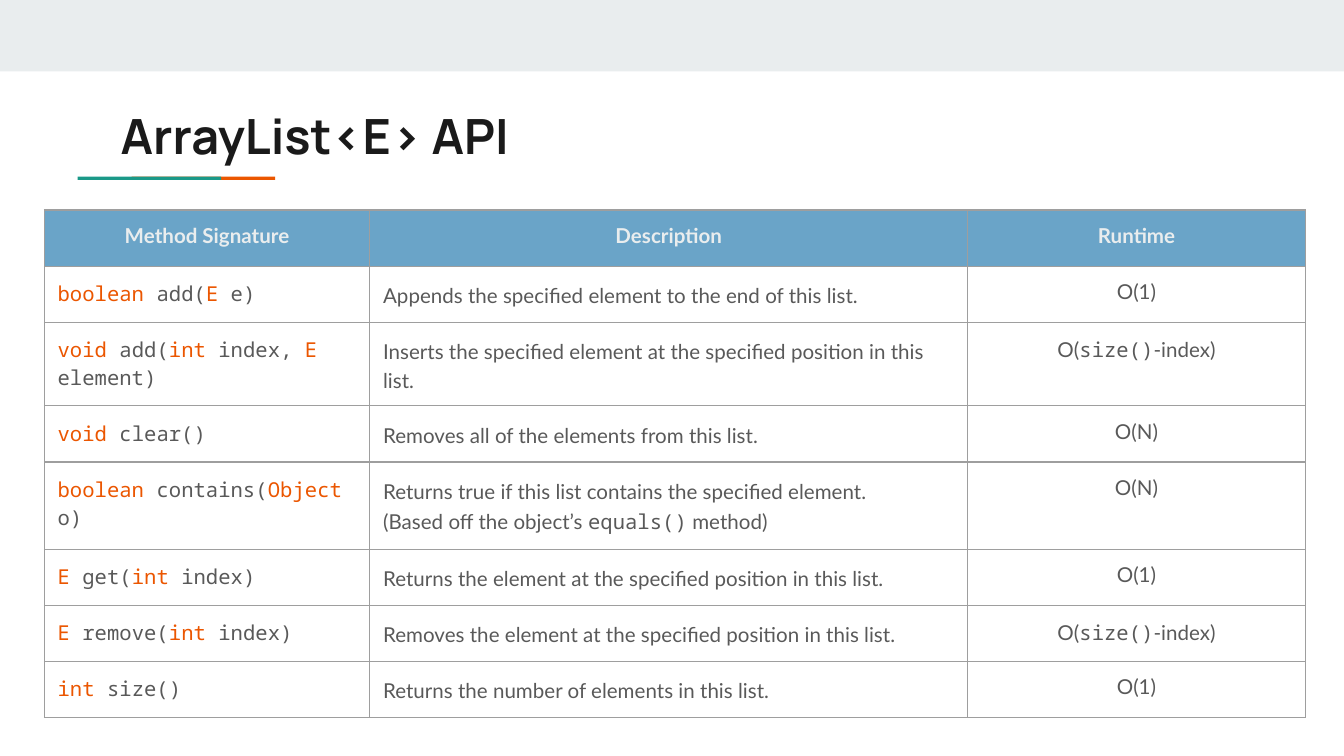
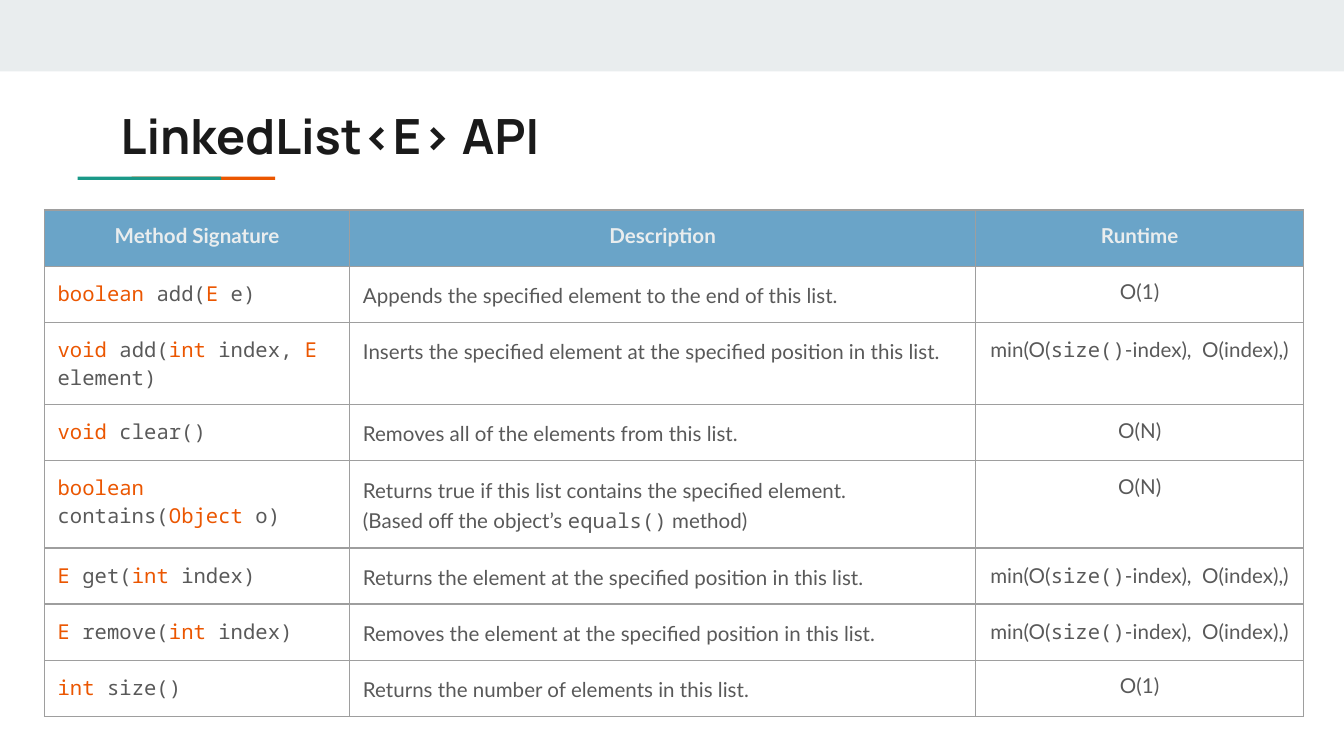
from lxml.etree import SubElement
from pptx import Presentation
from pptx.dml.color import RGBColor
from pptx.enum.shapes import MSO_SHAPE
from pptx.enum.text import MSO_ANCHOR, PP_ALIGN
from pptx.oxml.ns import qn
from pptx.util import Cm, Pt

HUE = {"band": "E9EDEE", "orange": "EB5600", "teal": "1A9988", "title": "1A1A1A",
       "head": "6AA4C8", "text": "595959", "line": "9E9E9E"}

TITLE = {"name": "Manrope", "size": Pt(26), "bold": True, "hue": "title"}
HEAD = {"name": "Lato", "size": Pt(11), "bold": True, "hue": "band"}
BODY = {**HEAD, "bold": False, "hue": "text"}
CODE = {**BODY, "name": "Noto Sans Mono"}
TYPE = {**CODE, "hue": "orange"}

HEADS = ["Method Signature", "Description", "Runtime"]

# Backticks mark types in a signature and code in other text.
METHODS = [
    ("`boolean` add(`E` e)", "Appends the specified element to the end of this list."),
    ("`void` add(`int` index, `E` element)",
     "Inserts the specified element at the specified position in this list."),
    ("`void` clear()", "Removes all of the elements from this list."),
    ("`boolean` contains(`Object` o)",
     "Returns true if this list contains the specified element.\n"
     "(Based off the object’s `equals()` method)"),
    ("`E` get(`int` index)", "Returns the element at the specified position in this list."),
    ("`E` remove(`int` index)", "Removes the element at the specified position in this list."),
    ("`int` size()", "Returns the number of elements in this list."),
]

TAIL = "O(`size()`-index)"
ENDS = "min(O(`size()`-index),  O(index),)"
PAGES = [
    {"title": "ArrayList<E> API", "cols": [6.15, 11.3, 6.38],
     "times": ["O(1)", TAIL, "O(N)", "O(N)", "O(1)", TAIL, "O(1)"]},
    {"title": "LinkedList<E> API", "cols": [5.77, 11.83, 6.2],
     "times": ["O(1)", ENDS, "O(N)", "O(N)", ENDS, ENDS, "O(1)"]},
]

# Left, top, width, height and colour, from back to front
BARS = [(0, 0, 25.4, 1.35, "band"),
        (2.49, 3.34, 2.71, 0.06, "orange"),
        (1.47, 3.34, 2.71, 0.06, "teal")]
PAD = Cm(0.25)
ROW = 1.06


def rgb(hue):
    return RGBColor.from_string(HUE[hue])


def write(frame, text, plain, marked=None, **para):
    """Fill a text frame; pieces between backticks take the marked style."""
    for i, line in enumerate(text.split("\n")):
        p = frame.add_paragraph() if i else frame.paragraphs[0]
        for key, val in para.items():
            setattr(p, key, val)
        for j, piece in enumerate(line.split("`")):
            if not piece:
                continue
            run = p.add_run()
            run.text = piece
            for key, val in (marked if j % 2 else plain).items():
                if key == "hue":
                    run.font.color.rgb = rgb(val)
                else:
                    setattr(run.font, key, val)


def dress(slide, layout):
    """Draw the band and the title rule, then move them to the layout."""
    for i, (x, y, w, h, hue) in enumerate(BARS):
        bar = slide.shapes.add_shape(MSO_SHAPE.RECTANGLE, Cm(x), Cm(y), Cm(w), Cm(h))
        bar.shadow.inherit = False
        bar.fill.solid()
        bar.fill.fore_color.rgb = rgb(hue)
        bar.line.fill.background()
        layout.shapes.element.insert(2 + i, bar.element)


def edge(cell):
    props = cell._tc.get_or_add_tcPr()
    for i, side in enumerate(["lnL", "lnR", "lnT", "lnB"]):
        line = SubElement(props, qn("a:" + side), w=str(Pt(0.75)))
        fill = SubElement(line, qn("a:solidFill"))
        SubElement(fill, qn("a:srgbClr"), val=HUE["line"])
        props.insert(i, line)


def head(slide, text):
    box = slide.shapes.title
    for key, val in zip(["left", "top", "width", "height"], [2.03, 1.75, 21.36, 1.5]):
        setattr(box, key, Cm(val))
    frame = box.text_frame
    for side in ["left", "right", "top", "bottom"]:
        setattr(frame, "margin_" + side, PAD)
    frame.vertical_anchor = MSO_ANCHOR.TOP
    frame.word_wrap = True
    write(frame, text, TITLE, alignment=PP_ALIGN.LEFT)


def grid(slide, cols, times):
    rows = [HEADS] + [(*m, t) for m, t in zip(METHODS, times)]
    table = slide.shapes.add_table(len(rows), len(cols), Cm(0.84), Cm(3.97),
                                   Cm(sum(cols)), Cm(ROW * len(rows))).table
    table.first_row = table.horz_banding = False
    for col, wide in zip(table.columns, cols):
        col.width = Cm(wide)
    mid = {"alignment": PP_ALIGN.CENTER}
    looks = [(CODE, TYPE, {}), (BODY, CODE, {"line_spacing": 1.15}), (BODY, CODE, mid)]
    for r, row in enumerate(rows):
        table.rows[r].height = Cm(ROW)
        for c, text in enumerate(row):
            cell = table.cell(r, c)
            for side in ["left", "right", "top", "bottom"]:
                setattr(cell, "margin_" + side, PAD)
            if r:
                cell.fill.background()
                plain, marked, para = looks[c]
            else:
                cell.fill.solid()
                cell.fill.fore_color.rgb = rgb("head")
                plain, marked, para = HEAD, None, mid
            edge(cell)
            write(cell.text_frame, text, plain, marked, **para)


def main():
    deck = Presentation()
    deck.slide_width, deck.slide_height = Cm(25.4), Cm(14.29)
    layout = deck.slide_layouts[5]
    for i, page in enumerate(PAGES):
        slide = deck.slides.add_slide(layout)
        if i == 0:
            dress(slide, layout)
        head(slide, page["title"])
        grid(slide, page["cols"], page["times"])
    deck.save("out.pptx")


if __name__ == "__main__":
    main()
